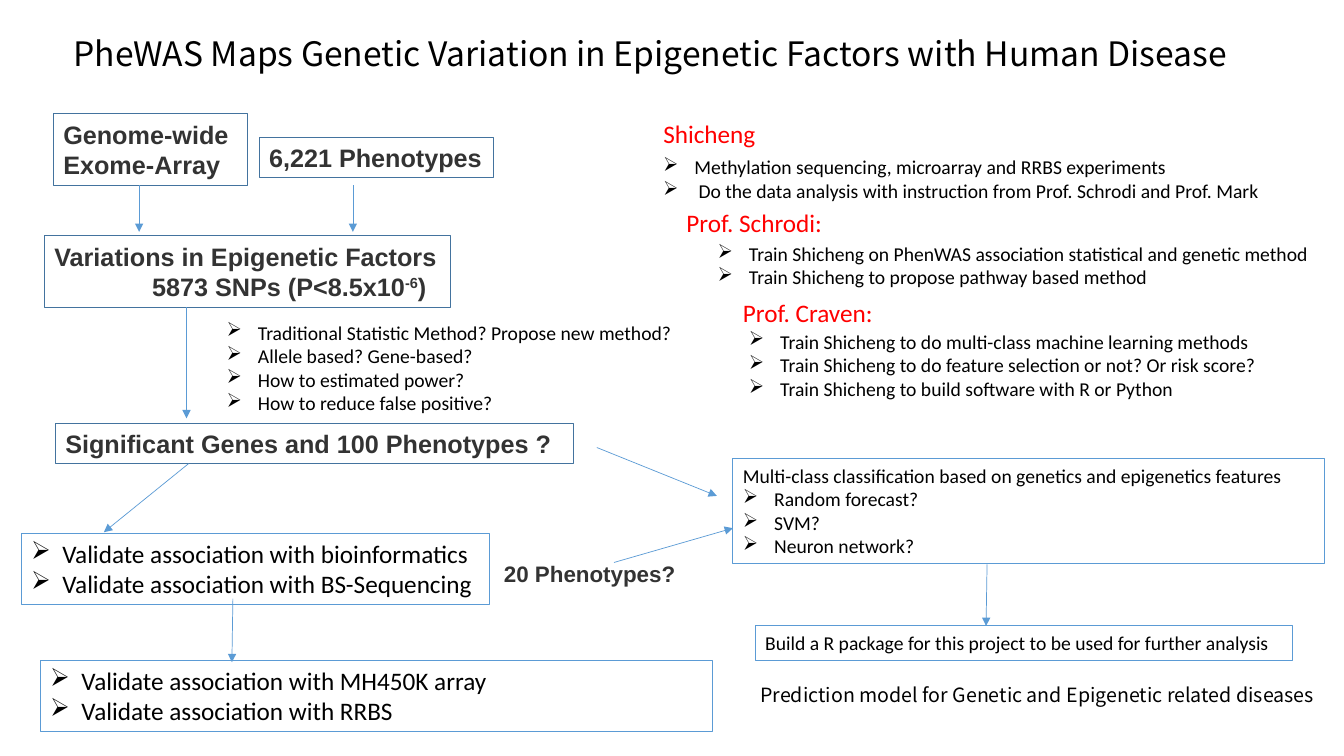
import pptx
import pptx.dml.color
import pptx.enum.shapes
import pptx.enum.text
import pptx.oxml
import pptx.oxml.ns
import pptx.util

BLACK = pptx.dml.color.RGBColor(0x00, 0x00, 0x00)
WHITE = pptx.dml.color.RGBColor(0xFF, 0xFF, 0xFF)
RED = pptx.dml.color.RGBColor(0xFF, 0x00, 0x00)
CHARCOAL = pptx.dml.color.RGBColor(0x33, 0x33, 0x33)
DARK_BLUE = pptx.dml.color.RGBColor(0x43, 0x73, 0x9E)
BLUE = pptx.dml.color.RGBColor(0x5B, 0x9B, 0xD5)

EMU_PER_PX = 9144
BULLET_INDENT = 31

STYLES = {
    "title": {"name": "Noto Sans CJK SC", "size": 24, "color": BLACK},
    "outcome": {"name": "Noto Sans CJK SC", "size": 14, "color": BLACK},
    "step": {"name": "Arial", "size": 18, "color": CHARCOAL, "bold": True},
    "label": {"name": "Arial", "size": 16, "color": CHARCOAL, "bold": True},
    "person": {"name": "Calibri", "size": 18, "color": RED},
    "validation": {"name": "Calibri", "size": 18, "color": BLACK},
    "detail": {"name": "Calibri", "size": 14, "color": BLACK},
}


def px(length):
    return pptx.util.Emu(length * EMU_PER_PX)


def line(text, indent=0, bullet=False):
    return {"text": text, "indent": indent, "bullet": bullet}


def bullets(*texts):
    return [line(text, BULLET_INDENT, True) for text in texts]


class SlideBuilder:
    """Draw text, boxes and arrows on one slide in a shared style."""

    def __init__(self, slide, styles):
        self.slide = slide
        self.styles = styles

    def format_run(self, run, style):
        values = dict(self.styles[style])
        run.font.color.rgb = values.pop("color")
        values["size"] = pptx.util.Pt(values["size"])
        for attribute, value in values.items():
            setattr(run.font, attribute, value)

    def set_lines(self, shape, lines, style, align):
        frame = shape.text_frame
        settings = {
            "word_wrap": True,
            "auto_size": pptx.enum.text.MSO_AUTO_SIZE.SHAPE_TO_FIT_TEXT,
            "vertical_anchor": pptx.enum.text.MSO_ANCHOR.TOP,
        }
        for attribute, value in settings.items():
            setattr(frame, attribute, value)
        for index, item in enumerate(lines):
            paragraph = frame.add_paragraph() if index else frame.paragraphs[0]
            paragraph.alignment = align
            properties = paragraph._p.get_or_add_pPr()
            properties.set("marL", str(px(item["indent"])))
            if item["bullet"]:
                properties.set("indent", str(-px(item["indent"])))
                properties.append(pptx.oxml.parse_xml(
                    f'<a:buChar {pptx.oxml.ns.nsdecls("a")} char="➢"/>'))
            for position, part in enumerate(item["text"].split("^")):
                run = paragraph.add_run()
                run.text = part
                self.format_run(run, style)
                if position % 2:
                    run._r.get_or_add_rPr().set("baseline", "30000")

    def text(self, bounds, lines, style, align=pptx.enum.text.PP_ALIGN.LEFT):
        shape = self.slide.shapes.add_textbox(*map(px, bounds))
        self.set_lines(shape, lines, style, align)

    def box(self, bounds, lines, style, border=BLUE, fill=None):
        shape = self.slide.shapes.add_shape(
            pptx.enum.shapes.MSO_SHAPE.RECTANGLE, *map(px, bounds))
        shape.shadow.inherit = False
        if fill is None:
            shape.fill.background()
        else:
            shape.fill.solid()
            shape.fill.fore_color.rgb = fill
        shape.line.color.rgb = border
        shape.line.width = pptx.util.Pt(0.75)
        self.set_lines(shape, lines, style, pptx.enum.text.PP_ALIGN.LEFT)

    def step(self, bounds, *lines):
        self.box(bounds, lines, "step", DARK_BLUE, WHITE)

    def arrow(self, *ends):
        connector = self.slide.shapes.add_connector(
            pptx.enum.shapes.MSO_CONNECTOR.STRAIGHT, *map(px, ends))
        connector.line.color.rgb = BLUE
        connector.line.width = pptx.util.Pt(0.5)
        namespace = pptx.oxml.ns.nsdecls("a")
        connector.line._get_or_add_ln().append(
            pptx.oxml.parse_xml(f'<a:tailEnd {namespace} type="triangle"/>'))
        connector._element.spPr.append(
            pptx.oxml.parse_xml(f"<a:effectLst {namespace}/>"))


def main():
    presentation = pptx.Presentation()
    presentation.slide_width = px(1333)
    presentation.slide_height = px(750)
    slide = presentation.slides.add_slide(presentation.slide_layouts[6])
    builder = SlideBuilder(slide, STYLES)

    builder.text((63, 28, 1270, 50), [line(
        "PheWAS Maps Genetic Variation in Epigenetic Factors with Human Disease"
    )], "title")

    builder.step((53, 113, 193, 71), line("Genome-wide"), line("Exome-Array"))
    builder.step((257, 136, 233, 40), line("6,221 Phenotypes"))
    builder.step((44, 234, 403, 71), line("Variations in Epigenetic Factors"),
                 line("5873 SNPs (P<8.5x10^-6^)", 97))
    builder.step((55, 420, 514, 40), line("Significant Genes and 100 Phenotypes ?"))
    builder.text((215, 313, 471, 104), bullets(
        "Traditional Statistic Method? Propose new method?",
        "Allele based? Gene-based?",
        "How to estimated power?",
        "How to reduce false positive?"), "detail")

    builder.box((21, 529, 465, 71), bullets(
        "Validate association with bioinformatics",
        "Validate association with BS-Sequencing"), "validation")
    builder.box((40, 655, 667, 71), bullets(
        "Validate association with MH450K array",
        "Validate association with RRBS"), "validation")
    builder.text((490, 551, 221, 37), [line("20 Phenotypes?")], "label")

    builder.box((727, 455, 587, 104), [
        line("Multi-class classification based on genetics and epigenetics features"),
        *bullets("Random forecast?", "SVM?", "Neuron network?")], "detail")
    builder.box((749, 621, 533, 34), [line(
        "Build a R package for this project to be used for further analysis"
    )], "detail")
    builder.text((744, 673, 570, 34), [line(
        "Prediction model for Genetic and Epigenetic related diseases"
    )], "outcome", pptx.enum.text.PP_ALIGN.CENTER)

    team = [
        ("Shicheng", (648, 112, 119, 40), (648, 149, 617, 57), [
            *bullets("Methylation sequencing, microarray and RRBS experiments"),
            line("Do the data analysis with instruction from Prof. Schrodi "
                 "and Prof. Mark", 35, True)]),
        ("Prof. Schrodi:", (671, 201, 156, 40), (702, 235, 612, 57), bullets(
            "Train Shicheng on PhenWAS association statistical and genetic method",
            "Train Shicheng to propose pathway based method")),
        ("Prof. Craven:", (727, 290, 150, 40), (733, 322, 532, 81), bullets(
            "Train Shicheng to do multi-class machine learning methods",
            "Train Shicheng to do feature selection or not? Or risk score?",
            "Train Shicheng to build software with R or Python")),
    ]
    for person, name_bounds, task_bounds, tasks in team:
        builder.text(name_bounds, [line(person)], "person")
        builder.text(task_bounds, tasks, "detail")

    for ends in [
        (138, 184, 138, 230),
        (350, 184, 350, 230),
        (185, 305, 185, 415),
        (187, 460, 103, 528),
        (231, 594, 230, 657),
        (592, 444, 711, 492),
        (609, 558, 727, 524),
        (979, 560, 978, 621),
    ]:
        builder.arrow(*ends)

    presentation.save("out.pptx")


if __name__ == "__main__":
    main()
